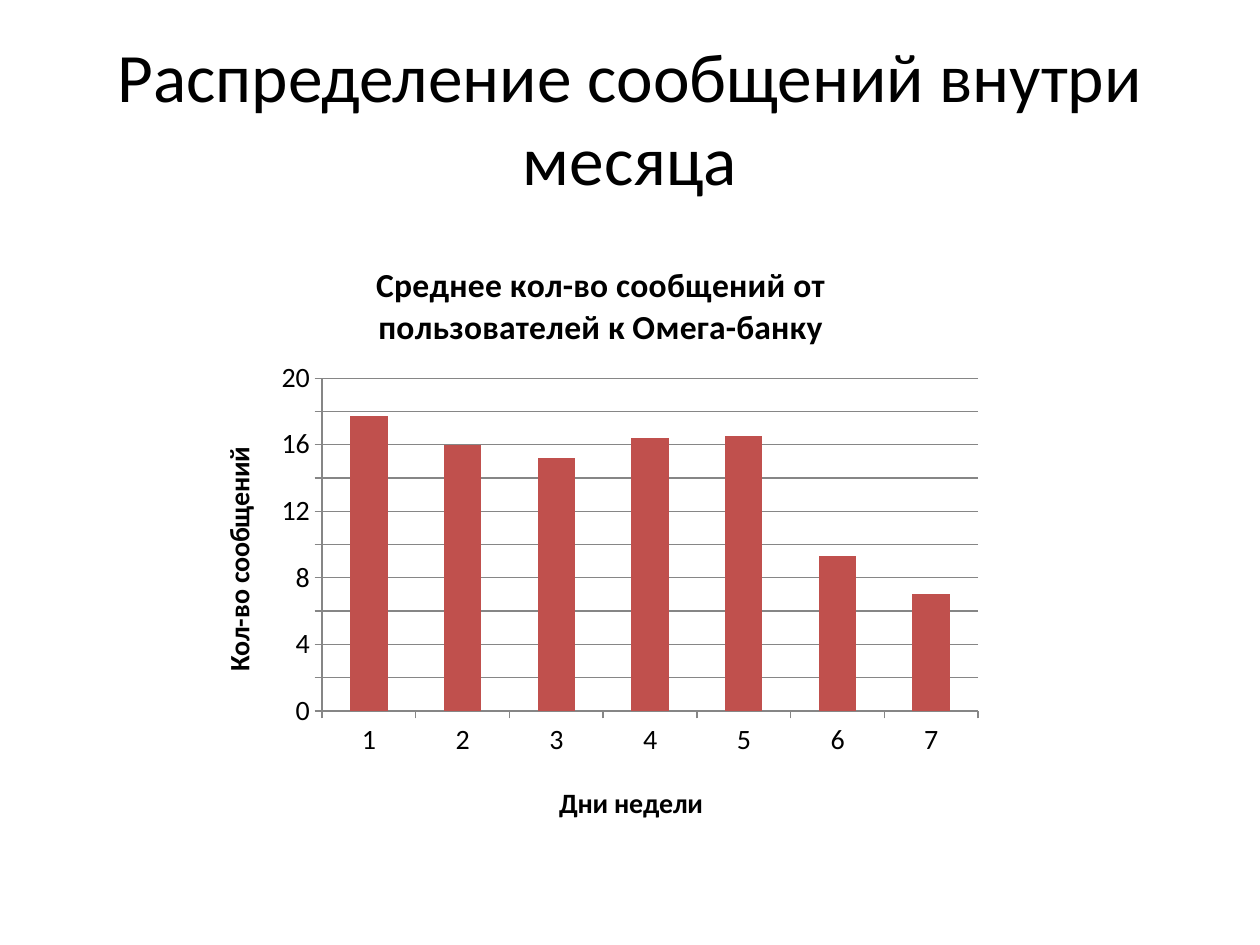
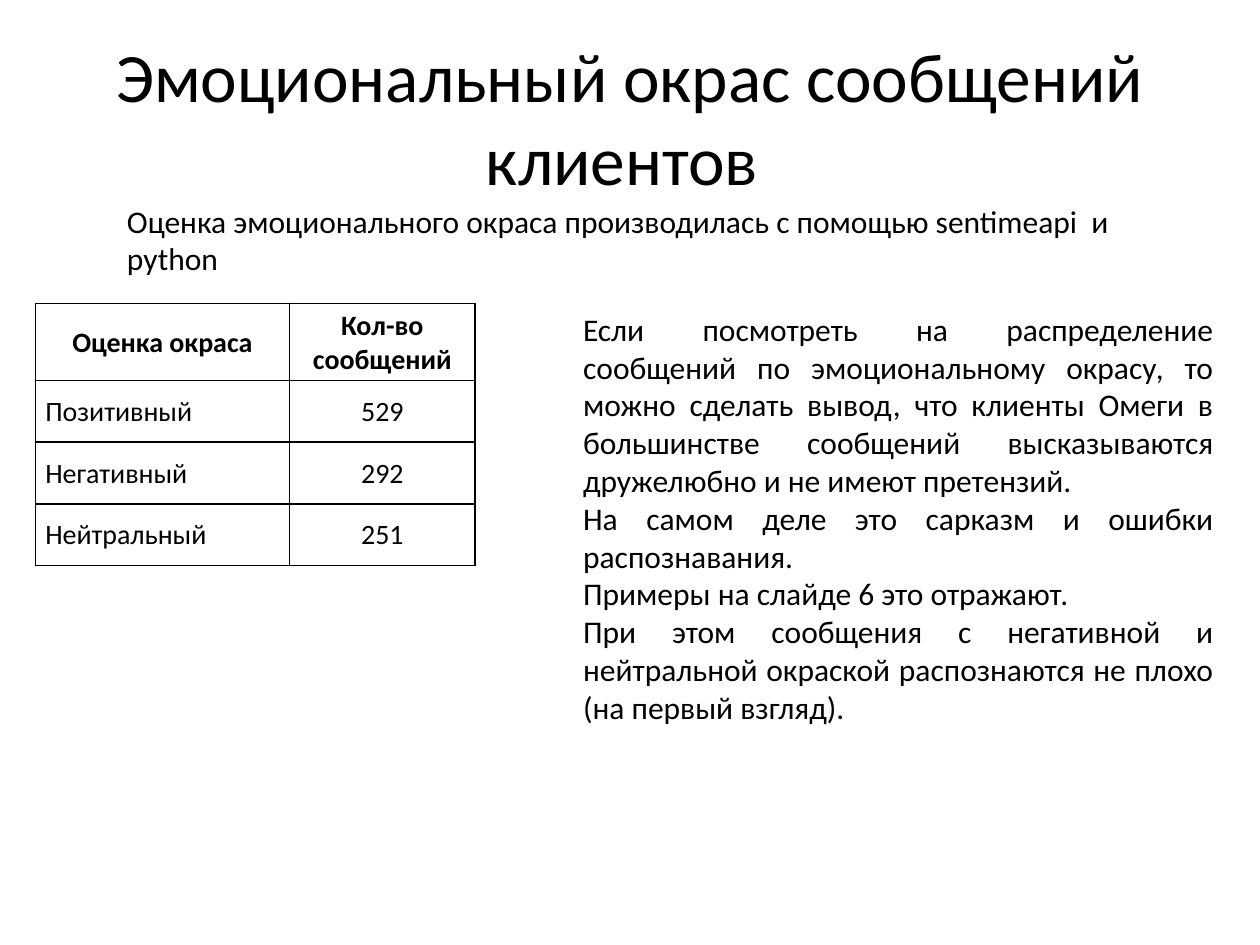
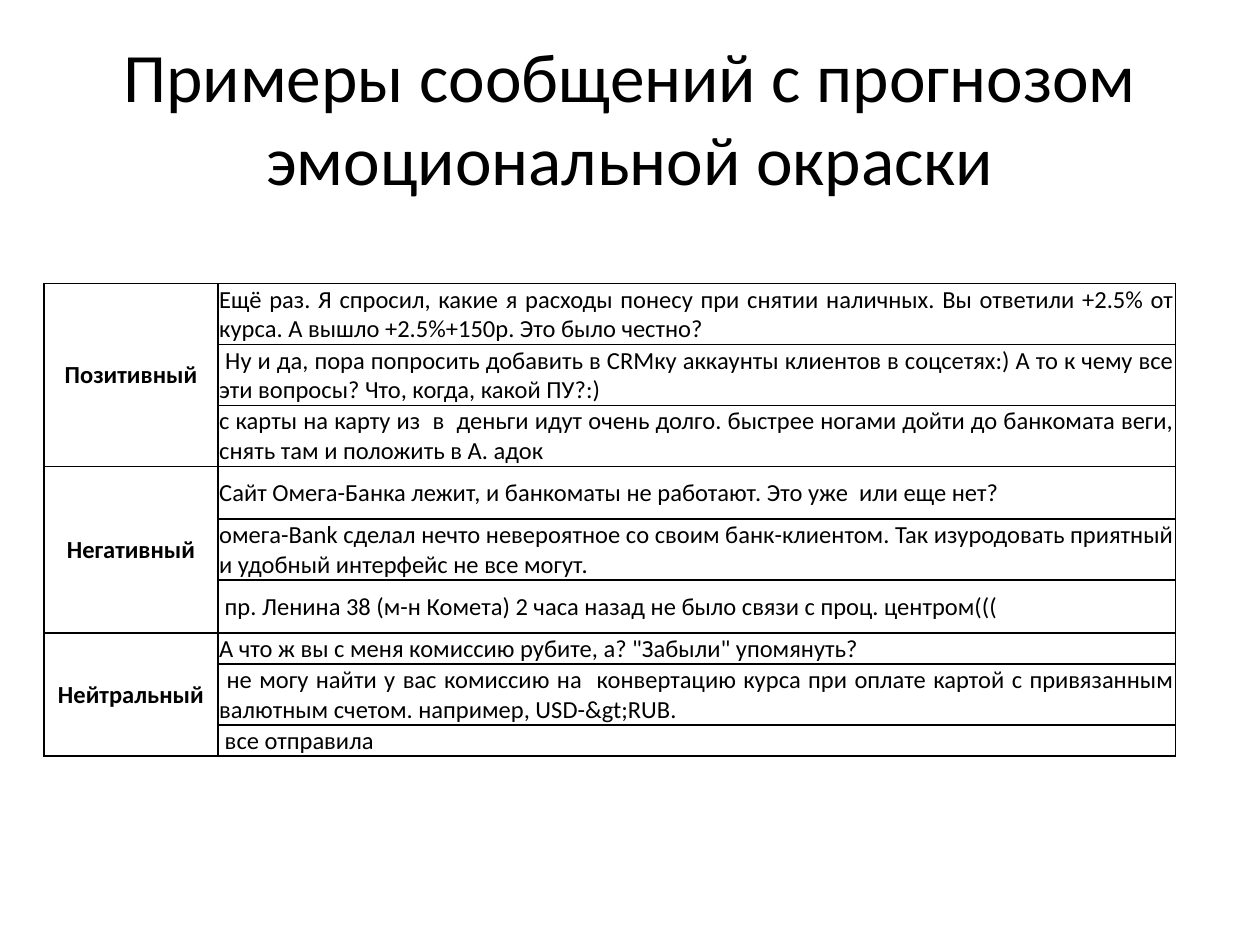
from dataclasses import dataclass
from typing import Optional

import pptx
import pptx.chart.data
import pptx.dml.color
import pptx.enum.chart
import pptx.enum.text
import pptx.oxml
import pptx.oxml.ns
import pptx.util
from pptx.util import Inches, Pt

RGBColor = pptx.dml.color.RGBColor
Align = pptx.enum.text.PP_ALIGN
Anchor = pptx.enum.text.MSO_ANCHOR
qn = pptx.oxml.ns.qn

BLACK = RGBColor(0x00, 0x00, 0x00)
GRID_GREY = RGBColor(0x86, 0x86, 0x86)
BAR_RED = RGBColor(0xC0, 0x50, 0x4D)
FONT = "Calibri"
TITLE_SIZE = 39.6
BODY_SIZE = 18
CHART_SIZE = 16
CHART_TITLE_SIZE = 19.2
TITLE_ONLY = 5

CHART_TITLE = "Среднее кол-во сообщений от пользователей к Омега-банку"
WEEKDAY_AVERAGES = (17.7, 16, 15.2, 16.4, 16.5, 9.3, 7)

METHOD_NOTE = "Оценка эмоционального окраса производилась с помощью sentimeapi  и python"
CONCLUSIONS = (
    "Если посмотреть на распределение сообщений по эмоциональному окрасу, то можно "
    "сделать вывод, что клиенты Омеги в большинстве сообщений высказываются "
    "дружелюбно и не имеют претензий.",
    "На самом деле это сарказм и ошибки распознавания.",
    "Примеры на слайде 6 это отражают.",
    "При этом сообщения с негативной и нейтральной окраской распознаются не плохо "
    "(на первый взгляд).",
)
TONE_COUNTS = (("Позитивный", 529), ("Негативный", 292), ("Нейтральный", 251))
TONE_EXAMPLES = {
    "Позитивный": (
        "Ещё раз. Я спросил, какие я расходы понесу при снятии наличных. Вы ответили "
        "+2.5% от курса. А вышло +2.5%+150р. Это было честно?",
        " Ну и да, пора попросить добавить в CRMку аккаунты клиентов в соцсетях:) "
        "А то к чему все эти вопросы? Что, когда, какой ПУ?:)",
        "c карты на карту из  в  деньги идут очень долго. быстрее ногами дойти до "
        "банкомата веги, снять там и положить в A. адок",
    ),
    "Негативный": (
        "Сайт Омега-Банка лежит, и банкоматы не работают. Это уже  или еще нет?",
        "омега-Bank сделал нечто невероятное со своим банк-клиентом. Так изуродовать "
        "приятный и удобный интерфейс не все могут.",
        " пр. Ленина 38 (м-н Комета) 2 часа назад не было связи с проц. центром(((",
    ),
    "Нейтральный": (
        'А что ж вы с меня комиссию рубите, а? "Забыли" упомянуть? ',
        " не могу найти у вас комиссию на  конвертацию курса при оплате картой с "
        "привязанным валютным счетом. например, USD-&gt;RUB.",
        " все отправила",
    ),
}


@dataclass(frozen=True)
class Box:
    left: float
    top: float
    width: float
    height: float

    def lengths(self) -> tuple:
        return tuple(Inches(v) for v in (self.left, self.top, self.width, self.height))


@dataclass(frozen=True)
class Entry:
    """Text of one table cell, covering `rows` rows."""
    text: str
    align: Align = Align.CENTER
    bold: bool = False
    indent: float = 0.01
    rows: int = 1


def style_font(font, size: float, bold: bool = False) -> None:
    font.name = FONT
    font.size = Pt(size)
    font.bold = bold
    font.color.rgb = BLACK


def write_paragraph(paragraph, text: str, size: float, align: Align, bold: bool = False) -> None:
    paragraph.alignment = align
    run = paragraph.add_run()
    run.text = text
    style_font(run.font, size, bold)


def add_titled_slide(deck, title: str):
    slide = deck.slides.add_slide(deck.slide_layouts[TITLE_ONLY])
    heading = slide.shapes.title
    heading.left, heading.top, heading.width, heading.height = Box(0.5, 0.3, 9, 1.25).lengths()
    frame = heading.text_frame
    frame.auto_size = pptx.enum.text.MSO_AUTO_SIZE.NONE
    frame.vertical_anchor = Anchor.MIDDLE
    write_paragraph(frame.paragraphs[0], title, TITLE_SIZE, Align.CENTER)
    return slide


def add_text(slide, box: Box, paragraphs: tuple[str, ...], align: Align) -> None:
    frame = slide.shapes.add_textbox(*box.lengths()).text_frame
    frame.word_wrap = True
    for index, text in enumerate(paragraphs):
        paragraph = frame.add_paragraph() if index else frame.paragraphs[0]
        write_paragraph(paragraph, text, BODY_SIZE, align)


def outline_cell(cell) -> None:
    """Give a cell thin black borders, tight margins and no fill."""
    properties = cell._tc.get_or_add_tcPr()
    for side in ("lnL", "lnR", "lnT", "lnB"):
        properties.append(pptx.oxml.parse_xml(
            f'<a:{side} {pptx.oxml.ns.nsdecls("a")} w="{Pt(1)}">'
            f'<a:solidFill><a:srgbClr val="{BLACK}"/></a:solidFill></a:{side}>'))
    cell.fill.background()
    cell.margin_left = cell.margin_right = cell.margin_top = Inches(0.01)
    cell.margin_bottom = 0
    cell.vertical_anchor = Anchor.MIDDLE


def add_grid(slide, left: float, top: float, widths: tuple[float, ...],
             heights: tuple[float, ...], entries: list[list[Optional[Entry]]],
             size: float) -> None:
    box = Box(left, top, sum(widths), sum(heights))
    table = slide.shapes.add_table(len(heights), len(widths), *box.lengths()).table
    table.first_row = table.horz_banding = False
    for column, width in zip(table.columns, widths):
        column.width = Inches(width)
    for r, (height, row) in enumerate(zip(heights, entries)):
        table.rows[r].height = Inches(height)
        for c, entry in enumerate(row):
            cell = table.cell(r, c)
            outline_cell(cell)
            if entry is None:
                continue
            if entry.rows > 1:
                cell.merge(table.cell(r + entry.rows - 1, c))
            cell.margin_left = Inches(entry.indent)
            write_paragraph(cell.text_frame.paragraphs[0], entry.text, size,
                            entry.align, entry.bold)


def place_chart_part(part, **fractions: float) -> None:
    """Set the manual layout of a chart title or plot area, in fractions of the chart."""
    layout = part.find(qn("c:layout"))
    if layout is None:
        layout = pptx.oxml.parse_xml(f'<c:layout {pptx.oxml.ns.nsdecls("c")}/>')
        part.insert(0 if part.find(qn("c:tx")) is None else 1, layout)
    target = '<c:layoutTarget val="inner"/>' if "w" in fractions else ""
    modes = '<c:xMode val="edge"/><c:yMode val="edge"/>'
    values = "".join(f'<c:{key} val="{value}"/>' for key, value in fractions.items())
    layout.append(pptx.oxml.parse_xml(
        f'<c:manualLayout {pptx.oxml.ns.nsdecls("c")}>{target}{modes}{values}</c:manualLayout>'))


def add_weekday_chart(slide) -> None:
    data = pptx.chart.data.CategoryChartData()
    data.categories = [str(day + 1) for day in range(len(WEEKDAY_AVERAGES))]
    data.add_series("Series 1", WEEKDAY_AVERAGES)
    chart = slide.shapes.add_chart(
        pptx.enum.chart.XL_CHART_TYPE.COLUMN_CLUSTERED,
        *Box(1.54, 1.78, 6.35, 4.89).lengths(), data).chart
    style_font(chart.font, CHART_SIZE)
    chart.has_legend = False

    plot = chart.plots[0]
    plot.gap_width = 150
    plot.vary_by_categories = False
    bars = plot.series[0].format.fill
    bars.solid()
    bars.fore_color.rgb = BAR_RED

    days, messages = chart.category_axis, chart.value_axis
    messages.minimum_scale, messages.maximum_scale, messages.major_unit = 0, 20, 2
    messages.has_major_gridlines = True
    for line in (days.format.line, messages.format.line, messages.major_gridlines.format.line):
        line.color.rgb = GRID_GREY
        line.width = Pt(0.75)
    for axis in (days, messages):
        axis.major_tick_mark = pptx.enum.chart.XL_TICK_MARK.OUTSIDE

    for title, text, size in (
            (chart.chart_title, CHART_TITLE, CHART_TITLE_SIZE),
            (days.axis_title, "Дни недели", CHART_SIZE),
            (messages.axis_title, "Кол-во сообщений", CHART_SIZE)):
        write_paragraph(title.text_frame.paragraphs[0], text, size, Align.CENTER, bold=True)

    place_chart_part(chart.chart_title._element, x=0.22, y=0.05)
    place_chart_part(days.axis_title._element, x=0.45, y=0.9)
    place_chart_part(chart._chartSpace.chart.plotArea, x=0.16, y=0.25, w=0.82, h=0.54)


def add_tone_summary(slide) -> None:
    entries = [[Entry("Оценка окраса", bold=True), Entry("Кол-во сообщений", bold=True)]]
    entries += [[Entry(tone, Align.LEFT, indent=0.08), Entry(str(count))]
                for tone, count in TONE_COUNTS]
    heights = (0.61,) + (0.49,) * len(TONE_COUNTS)
    add_grid(slide, 0.28, 2.41, (2.02, 1.47), heights, entries, size=16)
    add_text(slide, Box(0.91, 1.55, 8.27, 0.71), (METHOD_NOTE,), Align.LEFT)
    add_text(slide, Box(4.53, 2.41, 5.2, 3.43), CONCLUSIONS, Align.JUSTIFY)


def add_tone_examples(slide) -> None:
    entries = [[None if index else Entry(tone, bold=True, rows=len(messages)),
                Entry(message, Align.JUSTIFY)]
               for tone, messages in TONE_EXAMPLES.items()
               for index, message in enumerate(messages)]
    heights = (0.42,) * 6 + (0.21, 0.42, 0.21)
    add_grid(slide, 0.35, 2.25, (1.38, 7.6), heights, entries, size=14)


def main() -> None:
    deck = pptx.Presentation()
    deck.slide_width, deck.slide_height = Inches(10), Inches(7.5)
    add_weekday_chart(add_titled_slide(deck, "Распределение сообщений внутри месяца"))
    add_tone_summary(add_titled_slide(deck, "Эмоциональный окрас сообщений клиентов "))
    add_tone_examples(add_titled_slide(deck, "Примеры сообщений с прогнозом эмоциональной окраски"))
    deck.save("out.pptx")


if __name__ == "__main__":
    main()
